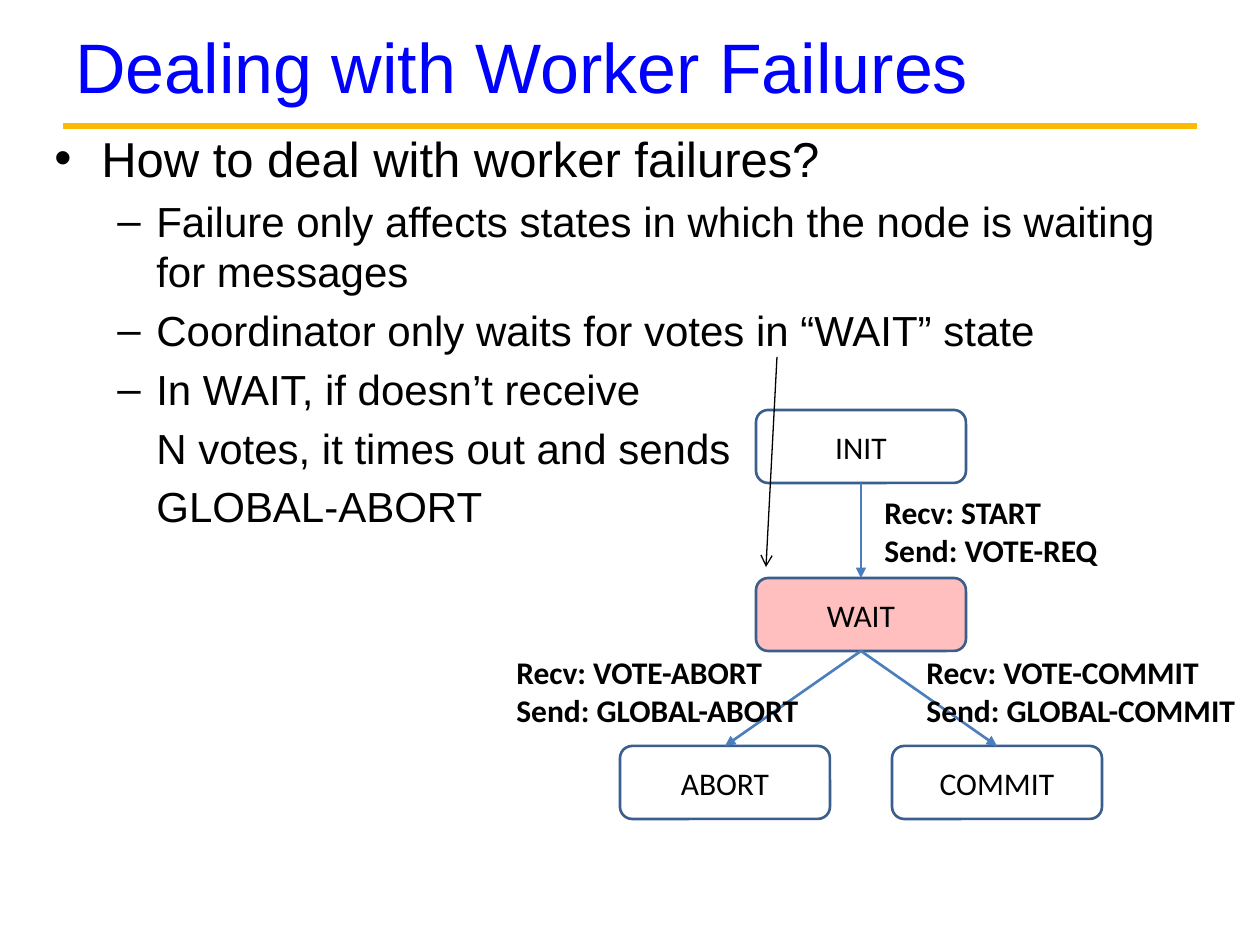
import lxml.etree
import pptx
import pptx.dml.color
import pptx.enum.shapes
import pptx.enum.text
import pptx.oxml.ns
import pptx.util

PX_PER_INCH = 126
COLORS = {
    "title": "0000FF", "text": "000000", "rule": "FBBA03",
    "state_line": "3A5F8C", "transition": "4B7EBC", "waiting": "FF0000",
}
STATE_WIDTH, STATE_HEIGHT, STATE_PITCH = 210, 73, 168
ANCHOR = pptx.enum.text.MSO_ANCHOR
ALIGN = pptx.enum.text.PP_ALIGN


def px(length):
    return pptx.util.Emu(round(length * 914400 / PX_PER_INCH))


def rgb(name):
    return pptx.dml.color.RGBColor.from_string(COLORS[name])


def add_xml(parent, tag, **attributes):
    return lxml.etree.SubElement(parent, pptx.oxml.ns.qn(tag), attributes)


def write(paragraph, text, size=18, font="Calibri", color="text", bold=False,
          align=ALIGN.LEFT, before=0):
    run = paragraph.add_run()
    run.text = text
    run.font.size = pptx.util.Pt(size)
    run.font.name = font
    run.font.bold = bold
    run.font.color.rgb = rgb(color)
    paragraph.alignment = align
    paragraph.space_before = pptx.util.Pt(before)


def add_text_frame(slide, left, top, width, height, anchor=ANCHOR.TOP):
    frame = slide.shapes.add_textbox(px(left), px(top), px(width), px(height)).text_frame
    frame.word_wrap = True
    frame.vertical_anchor = anchor
    return frame


def add_line(slide, start, end, color, weight, head=None):
    line = slide.shapes.add_connector(
        pptx.enum.shapes.MSO_CONNECTOR.STRAIGHT, *map(px, (*start, *end)))
    line.line.color.rgb = rgb(color)
    line.line.width = pptx.util.Pt(weight)
    if head:
        add_xml(line.line._get_or_add_ln(), "a:tailEnd", type=head)
    add_xml(line._element.spPr, "a:effectLst")
    return line


def add_title(slide, left, top, width, height):
    frame = add_text_frame(slide, left, top, width, height, ANCHOR.MIDDLE)
    write(frame.paragraphs[0], "Dealing with Worker Failures",
          size=40, font="Arial", color="title")
    rule_y = top + height
    add_line(slide, (left, rule_y), (left + width, rule_y), "rule", 3.75)


def set_bullet(paragraph, margin, hanging, bullet):
    """Indent the paragraph; without a bullet its first line starts at the margin."""
    properties = paragraph._p.get_or_add_pPr()
    properties.set("marL", str(px(margin)))
    properties.set("indent", str(-px(hanging) if bullet else 0))
    if bullet:
        add_xml(properties, "a:buFont", typeface="Arial")
        add_xml(properties, "a:buChar", char=bullet)
    else:
        add_xml(properties, "a:buNone")


def add_points(slide, left, top, width, height):
    frame = add_text_frame(slide, left, top, width, height)
    heading = frame.paragraphs[0]
    write(heading, "How to deal with worker failures?", size=28, font="Arial", before=5.6)
    set_bullet(heading, 47, 47, "•")
    for bullet, text in (
        ("–", "Failure only affects states in which the node is waiting for messages"),
        ("–", "Coordinator only waits for votes in “WAIT” state"),
        ("–", "In WAIT, if doesn’t receive"),
        (None, "N votes, it times out and sends"),
        (None, "GLOBAL-ABORT"),
    ):
        point = frame.add_paragraph()
        point.level = 1
        write(point, text, size=24, font="Arial", before=4.8)
        set_bullet(point, 102, 39, bullet)


def add_state(slide, name, left, top, waiting=False):
    state = slide.shapes.add_shape(
        pptx.enum.shapes.MSO_SHAPE.ROUNDED_RECTANGLE,
        px(left), px(top), px(STATE_WIDTH), px(STATE_HEIGHT))
    state.shadow.inherit = False
    state.line.color.rgb = rgb("state_line")
    state.line.width = pptx.util.Pt(1.5)
    if waiting:
        state.fill.solid()
        state.fill.fore_color.rgb = rgb("waiting")
        color = state._element.spPr.find(".//" + pptx.oxml.ns.qn("a:srgbClr"))
        add_xml(color, "a:alpha", val="25000")
    else:
        state.fill.background()
    frame = state.text_frame
    frame.margin_left = frame.margin_right = frame.margin_top = frame.margin_bottom = 0
    frame.vertical_anchor = ANCHOR.MIDDLE
    write(frame.paragraphs[0], name, align=ALIGN.CENTER)
    return state


def add_transition(slide, source, target):
    arrow = add_line(slide, (0, 0), (0, 0), "transition", 1.5, "triangle")
    arrow.begin_connect(source, 2)
    arrow.end_connect(target, 0)


def add_transition_label(slide, received, sent, left, top, width):
    frame = add_text_frame(slide, left, top, width, 89)
    write(frame.paragraphs[0], f"Recv: {received}", bold=True)
    write(frame.add_paragraph(), f"Send: {sent}", bold=True)


def add_state_diagram(slide, left, top):
    init = add_state(slide, "INIT", left + 252, top)
    wait = add_state(slide, "WAIT", left + 252, top + STATE_PITCH, waiting=True)
    abort = add_state(slide, "ABORT", left + 116, top + 2 * STATE_PITCH)
    commit = add_state(slide, "COMMIT", left + 388, top + 2 * STATE_PITCH)
    for source, target in ((init, wait), (wait, abort), (wait, commit)):
        add_transition(slide, source, target)
    for received, sent, x, y, width in (
        ("START", "VOTE-REQ", 368, 77, 315),
        ("VOTE-ABORT", "GLOBAL-ABORT", 0, 237, 315),
        ("VOTE-COMMIT", "GLOBAL-COMMIT", 410, 237, 346),
    ):
        add_transition_label(slide, received, sent, left + x, top + y, width)
    add_line(slide, (left + 273, top - 53), (left + 262, top + 157), "text", 0.75, "arrow")


def main():
    presentation = pptx.Presentation()
    presentation.slide_width, presentation.slide_height = px(1260), px(945)
    slide = presentation.slides.add_slide(presentation.slide_layouts[6])
    add_title(slide, 63, 5, 1134, 121)
    add_points(slide, 42, 122, 1134, 624)
    add_state_diagram(slide, 504, 410)
    presentation.save("out.pptx")


if __name__ == "__main__":
    main()
